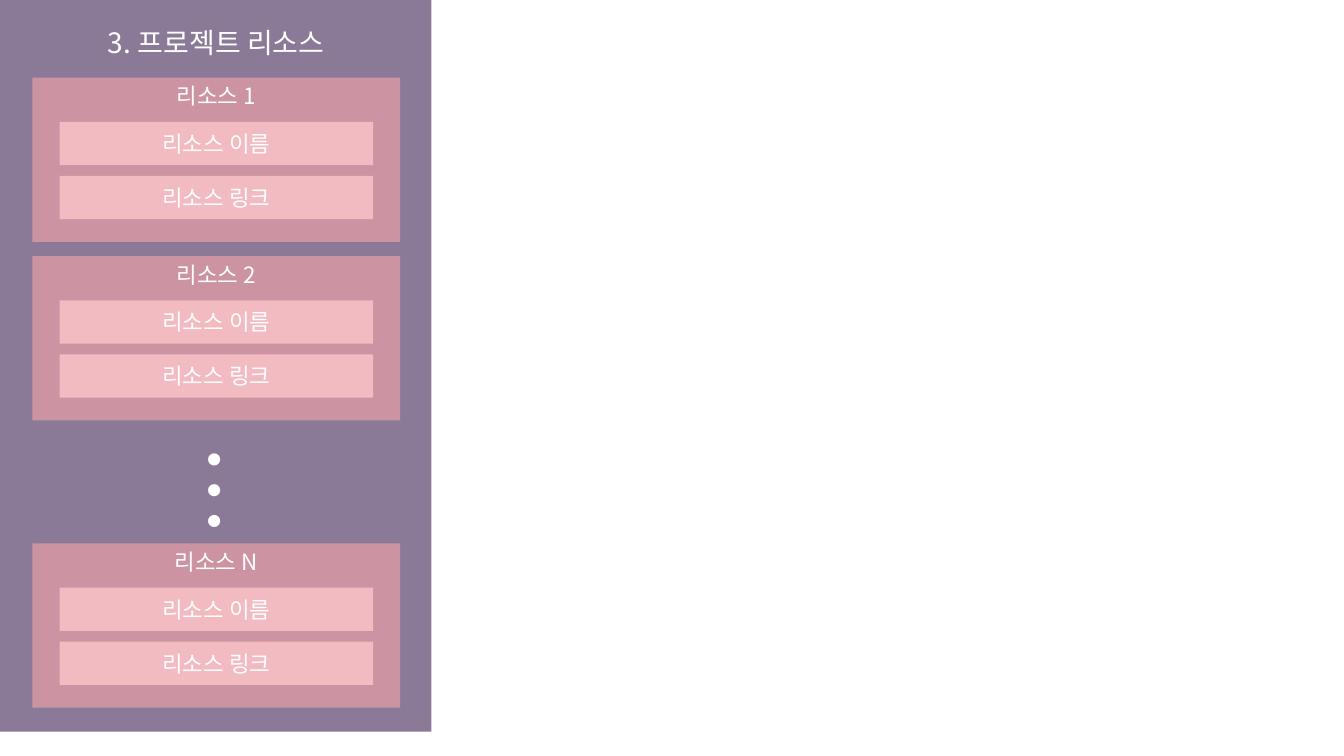
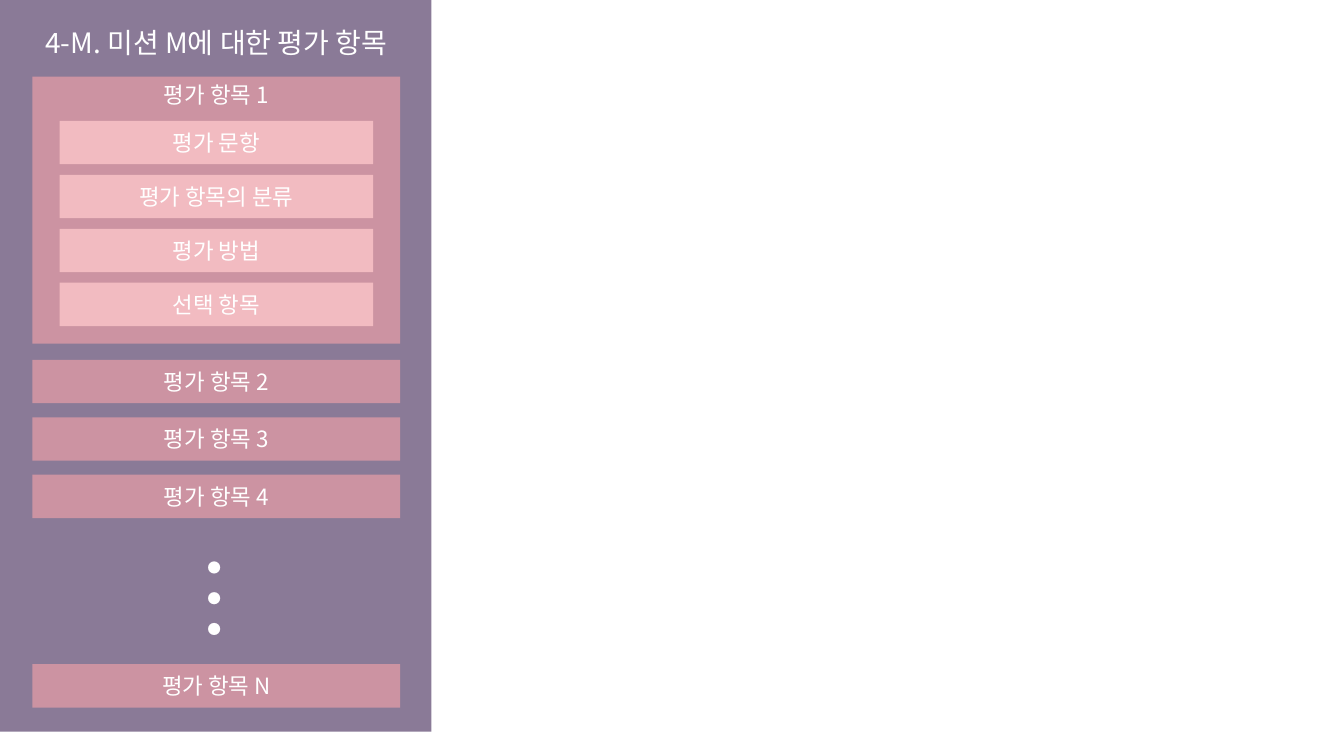
from lxml import etree
from pptx import Presentation
from pptx import util as u
from pptx.dml.color import RGBColor
from pptx.enum import shapes, text
from pptx.oxml import ns

PURPLE = RGBColor(0x8A, 0x7A, 0x97)
ROSE = RGBColor(0xCC, 0x93, 0xA2)
PINK = RGBColor(0xF2, 0xBB, 0xC1)
WHITE = RGBColor(0xFF, 0xFF, 0xFF)
FONT = "Noto Sans CJK KR"
LEFT, WIDTH, BAR = 0.32, 3.65, 0.43
INDENT, FIELD_TOP, FIELD_STEP = 0.27, 0.44, 0.535


class Outline:
    """Draws outline panels in one shared style."""

    def __init__(self):
        self.deck = Presentation()
        self.deck.slide_width = u.Inches(13.33)
        self.deck.slide_height = u.Inches(7.5)
        self.slide = None

    def caption(self, shape, wording, size=16, anchor=text.MSO_ANCHOR.MIDDLE):
        frame = shape.text_frame
        frame.text = wording
        frame.word_wrap = True
        frame.vertical_anchor = anchor
        paragraph = frame.paragraphs[0]
        paragraph.alignment = text.PP_ALIGN.CENTER
        font = paragraph.runs[0].font
        font.name, font.size = FONT, u.Pt(size)
        font.color.rgb = WHITE
        etree.SubElement(font._element, ns.qn("a:ea"), typeface=FONT)

    def block(self, left, top, width, height, color):
        rect = self.slide.shapes.add_shape(
            shapes.MSO_SHAPE.RECTANGLE, *map(u.Inches, (left, top, width, height)))
        rect.shadow.inherit = False
        rect.fill.solid()
        rect.fill.fore_color.rgb = color
        rect.line.fill.background()
        return rect

    def label(self, top, height, wording, size):
        box = self.slide.shapes.add_textbox(*map(u.Inches, (LEFT, top, WIDTH, height)))
        self.caption(box, wording, size)
        return box

    def panel(self, title):
        self.slide = self.deck.slides.add_slide(self.deck.slide_layouts[6])
        self.block(0, 0, 4.28, 7.26, PURPLE)
        self.label(0.2, BAR, title, 20)

    def card(self, top, height, heading, fields):
        self.caption(self.block(LEFT, top, WIDTH, height, ROSE), heading,
                     anchor=text.MSO_ANCHOR.TOP)
        for row, field in enumerate(fields):
            field_top = top + FIELD_TOP + row * FIELD_STEP
            self.caption(self.block(LEFT + INDENT, field_top, WIDTH - 2 * INDENT, BAR, PINK),
                         field)

    def bar(self, top, heading):
        self.caption(self.block(LEFT, top, WIDTH, BAR, ROSE), heading)

    def ellipsis(self, top):
        dots = self.label(top, 0.88, "…", 66)
        dots.text_frame._txBody.bodyPr.set("vert", "eaVert")


outline = Outline()

outline.panel("3. 프로젝트 리소스")
for number, card_top in (("1", 0.77), ("2", 2.54), ("N", 5.39)):
    outline.card(card_top, 1.63, f"리소스 {number}", ("리소스 이름", "리소스 링크"))
outline.ellipsis(4.31)

outline.panel("4-M. 미션 M에 대한 평가 항목")
outline.card(0.76, 2.65, "평가 항목 1",
             ("평가 문항", "평가 항목의 분류", "평가 방법", "선택 항목"))
for step, number in enumerate((2, 3, 4)):
    outline.bar(3.57 + step * 0.57, f"평가 항목 {number}")
outline.ellipsis(5.38)
outline.bar(6.59, "평가 항목 N")

outline.deck.save("out.pptx")
